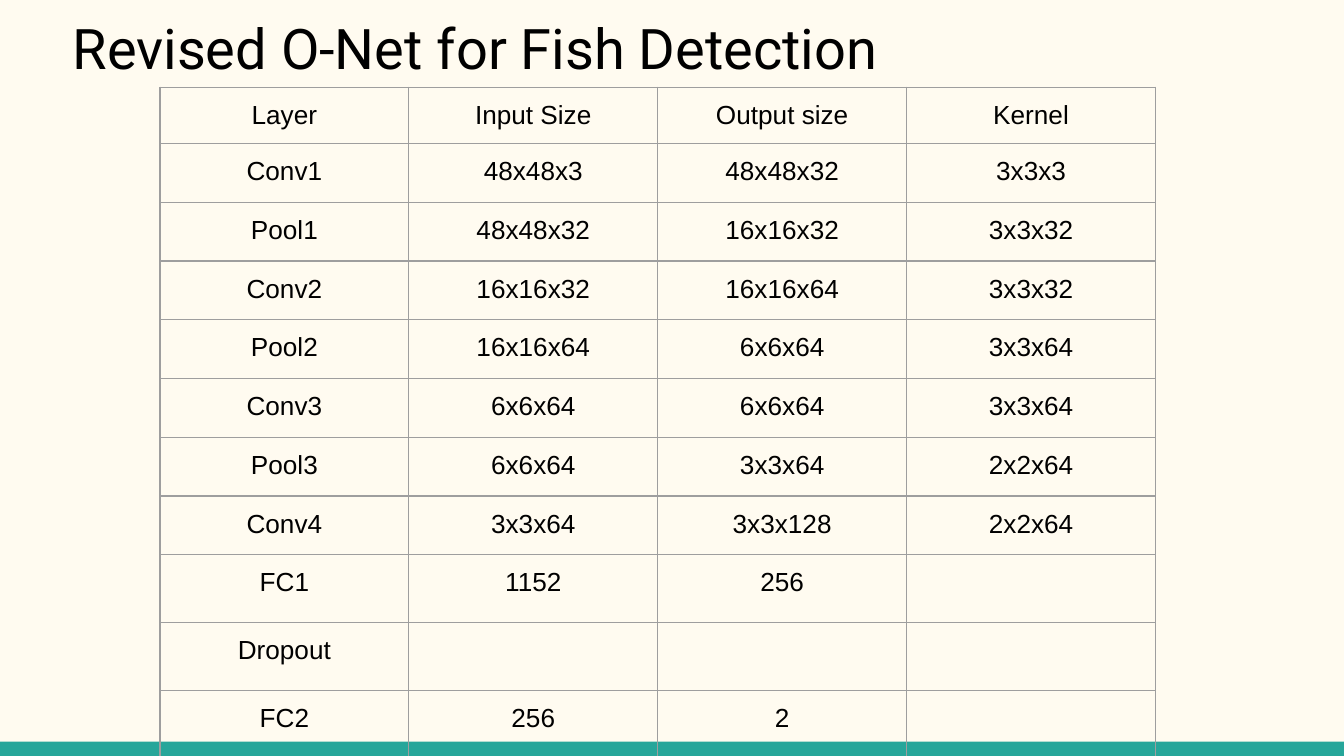
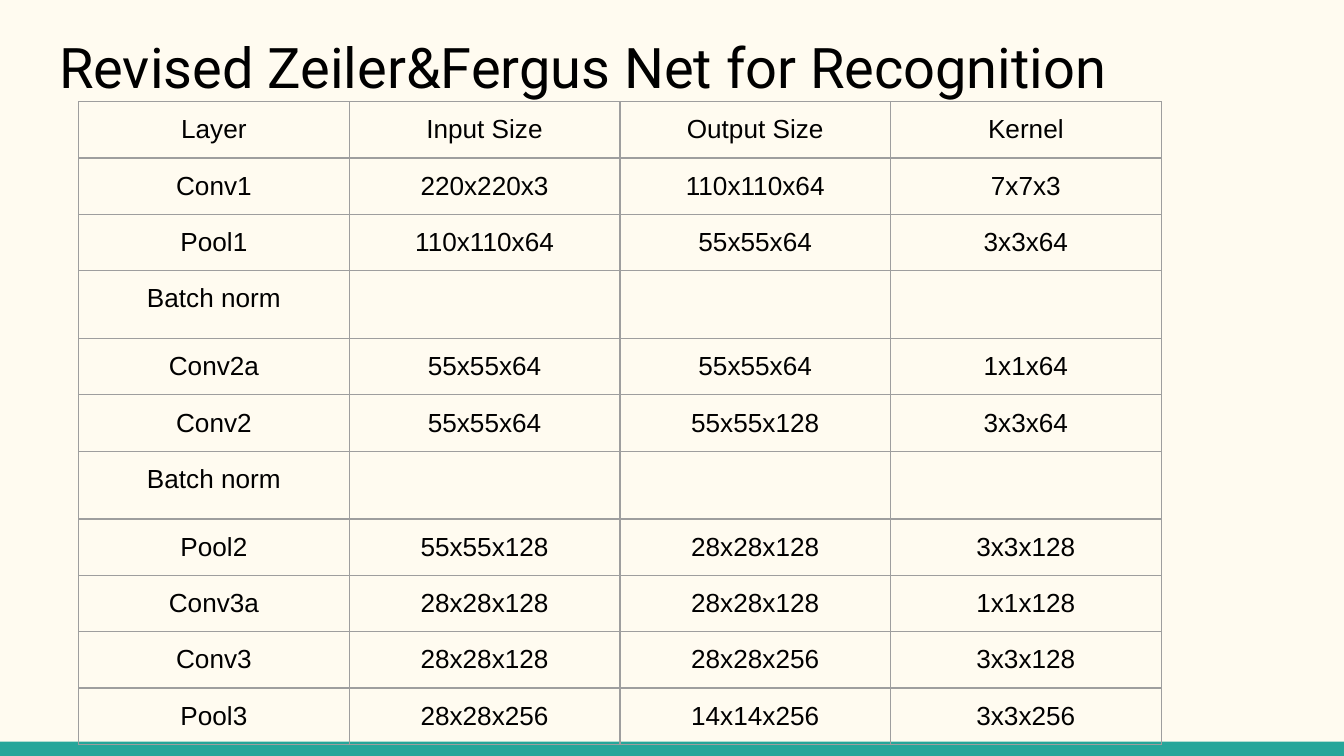
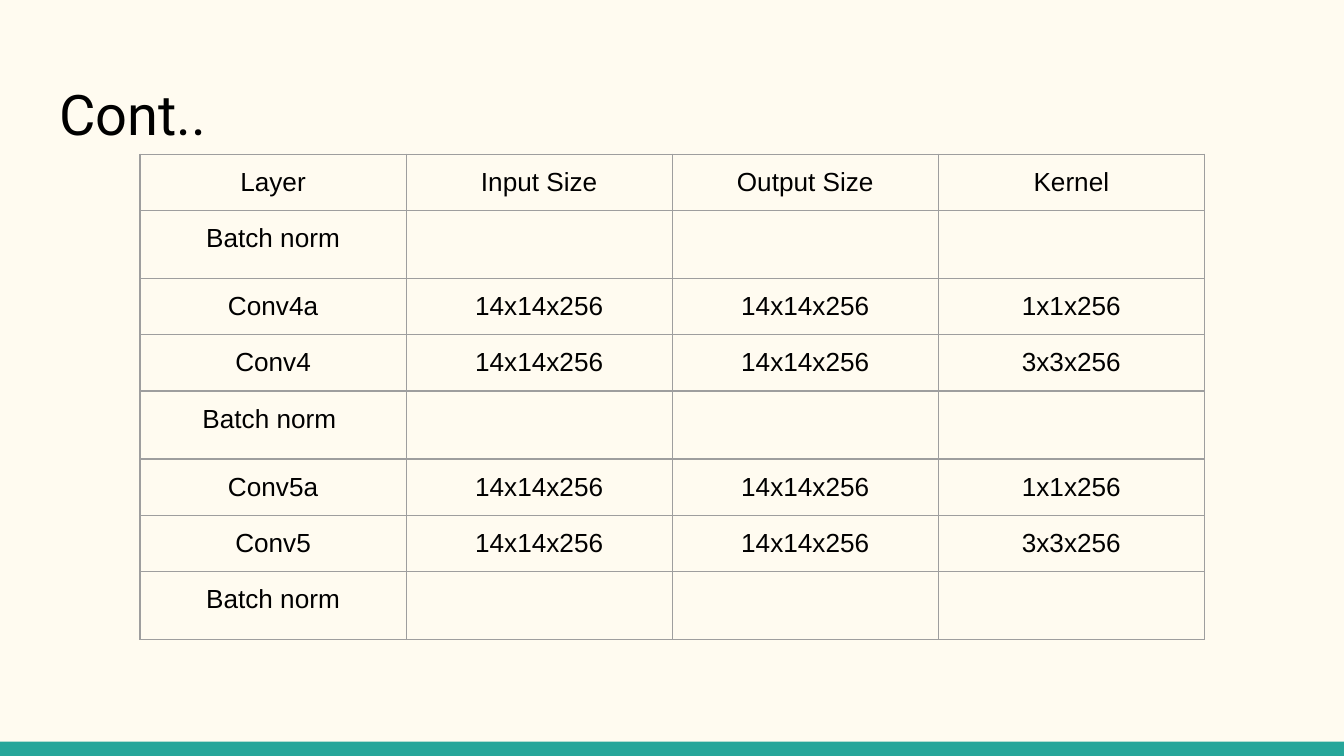
import pptx
import pptx.dml.color
import pptx.enum.shapes
import pptx.enum.text
import pptx.oxml
import pptx.util

BATCH_NORM = ("Batch norm",)
HEADER = ("Layer", "Input Size", "Output Size", "Kernel")

DETECTION = [
    ("Layer", "Input Size", "Output size", "Kernel"),
    ("Conv1", "48x48x3", "48x48x32", "3x3x3"),
    ("Pool1", "48x48x32", "16x16x32", "3x3x32"),
    ("Conv2", "16x16x32", "16x16x64", "3x3x32"),
    ("Pool2", "16x16x64", "6x6x64", "3x3x64"),
    ("Conv3", "6x6x64", "6x6x64", "3x3x64"),
    ("Pool3", "6x6x64", "3x3x64", "2x2x64"),
    ("Conv4", "3x3x64", "3x3x128", "2x2x64"),
    ("FC1", "1152", "256"),
    ("Dropout",),
    ("FC2", "256", "2"),
]

RECOGNITION = [
    HEADER,
    ("Conv1", "220x220x3", "110x110x64", "7x7x3"),
    ("Pool1", "110x110x64", "55x55x64", "3x3x64"),
    BATCH_NORM,
    ("Conv2a", "55x55x64", "55x55x64", "1x1x64"),
    ("Conv2", "55x55x64", "55x55x128", "3x3x64"),
    BATCH_NORM,
    ("Pool2", "55x55x128", "28x28x128", "3x3x128"),
    ("Conv3a", "28x28x128", "28x28x128", "1x1x128"),
    ("Conv3", "28x28x128", "28x28x256", "3x3x128"),
    ("Pool3", "28x28x256", "14x14x256", "3x3x256"),
]

RECOGNITION_CONT = [
    HEADER,
    BATCH_NORM,
    ("Conv4a", "14x14x256", "14x14x256", "1x1x256"),
    ("Conv4", "14x14x256", "14x14x256", "3x3x256"),
    ("Batch norm ",),
    ("Conv5a", "14x14x256", "14x14x256", "1x1x256"),
    ("Conv5", "14x14x256", "14x14x256", "3x3x256"),
    BATCH_NORM,
]


def rgb(value):
    return pptx.dml.color.RGBColor.from_string(value)


def apply(target, values):
    for name, value in values.items():
        setattr(target, name, value)


class Deck:
    GRID = 100
    PAPER, BAND, INK, RULE = "FFFBF0", "26A69A", "000000", "9E9E9E"
    TITLE_FONT = {"name": "Roboto", "size": pptx.util.Pt(30), "bold": False}
    CELL_FONT = {"name": "Arial", "size": pptx.util.Pt(14), "bold": False}
    INSET = pptx.util.Inches(0.1)
    INSETS = {
        "margin_left": INSET,
        "margin_top": INSET,
        "margin_right": INSET,
        "margin_bottom": INSET,
    }
    TITLE_FRAME = {
        **INSETS,
        "word_wrap": True,
        "vertical_anchor": pptx.enum.text.MSO_ANCHOR.TOP,
        "auto_size": pptx.enum.text.MSO_AUTO_SIZE.NONE,
    }
    PLAIN_TABLE = {"first_row": False, "horz_banding": False}

    def __init__(self):
        self.prs = pptx.Presentation()
        self.prs.slide_width = pptx.util.Inches(10)
        self.prs.slide_height = pptx.util.Inches(5.625)
        fill = self.prs.slide_master.background.fill
        fill.solid()
        fill.fore_color.rgb = rgb(self.PAPER)
        self.s = None

    def cols(self, n):
        return round(self.prs.slide_width * n / self.GRID)

    def rows(self, n):
        return round(self.prs.slide_height * n / self.GRID)

    def box(self, left, top, width, height):
        return self.cols(left), self.rows(top), self.cols(width), self.rows(height)

    def slide(self):
        self.s = self.prs.slides.add_slide(self.prs.slide_layouts[5])
        self.band()

    def band(self):
        sp = self.s.shapes.add_shape(
            pptx.enum.shapes.MSO_SHAPE.RECTANGLE, *self.box(0, 98.1, 100, 1.9))
        sp.shadow.inherit = False
        sp.fill.solid()
        sp.fill.fore_color.rgb = rgb(self.BAND)
        sp.line.fill.background()

    def text(self, p, text, font, align):
        p.alignment = align
        r = p.add_run()
        r.text = text
        apply(r.font, font)
        r.font.color.rgb = rgb(self.INK)

    def title(self, text, left, top):
        sp = self.s.shapes.title
        box = self.box(left, top, 93.2, 11.9)
        apply(sp, dict(zip(("left", "top", "width", "height"), box)))
        tf = sp.text_frame
        apply(tf, self.TITLE_FRAME)
        self.text(tf.paragraphs[0], text, self.TITLE_FONT, pptx.enum.text.PP_ALIGN.LEFT)

    def borders(self, cell):
        tc_pr = cell._tc.get_or_add_tcPr()
        for side in "LRTB":
            tc_pr.append(pptx.oxml.parse_xml(
                f'<a:ln{side} xmlns:a="http://schemas.openxmlformats.org/drawingml/2006/main"'
                f' w="{pptx.util.Pt(0.75)}"><a:solidFill><a:srgbClr val="{self.RULE}"/>'
                f'</a:solidFill></a:ln{side}>'))

    def table(self, data, left, top, col_width, heights):
        n_cols = len(data[0])
        box = self.box(left, top, col_width * n_cols, sum(heights))
        tbl = self.s.shapes.add_table(len(data), n_cols, *box).table
        apply(tbl, self.PLAIN_TABLE)
        for col in tbl.columns:
            col.width = self.cols(col_width)
        for row, height, texts in zip(tbl.rows, heights, data):
            row.height = self.rows(height)
            for i, cell in enumerate(row.cells):
                apply(cell, self.INSETS)
                self.borders(cell)
                cell.fill.background()
                if i < len(texts):
                    self.text(cell.text_frame.paragraphs[0], texts[i],
                              self.CELL_FONT, pptx.enum.text.PP_ALIGN.CENTER)


def main():
    deck = Deck()

    deck.slide()
    deck.title("Revised O-Net for Fish Detection", 4.4, 0)
    deck.table(DETECTION, 11.9, 11.55, 18.52, [5.33] + [7.77] * 10)

    deck.slide()
    deck.title("Revised Zeiler&Fergus Net for Recognition", 3.4, 2.5)
    deck.table(RECOGNITION, 5.85, 13.45, 20.14, [6.22] * 11)

    deck.slide()
    deck.title("Cont..", 3.4, 8.7)
    deck.table(RECOGNITION_CONT, 10.42, 20.4, 19.8, [7.41] * 8)

    deck.prs.save("out.pptx")


if __name__ == "__main__":
    main()
